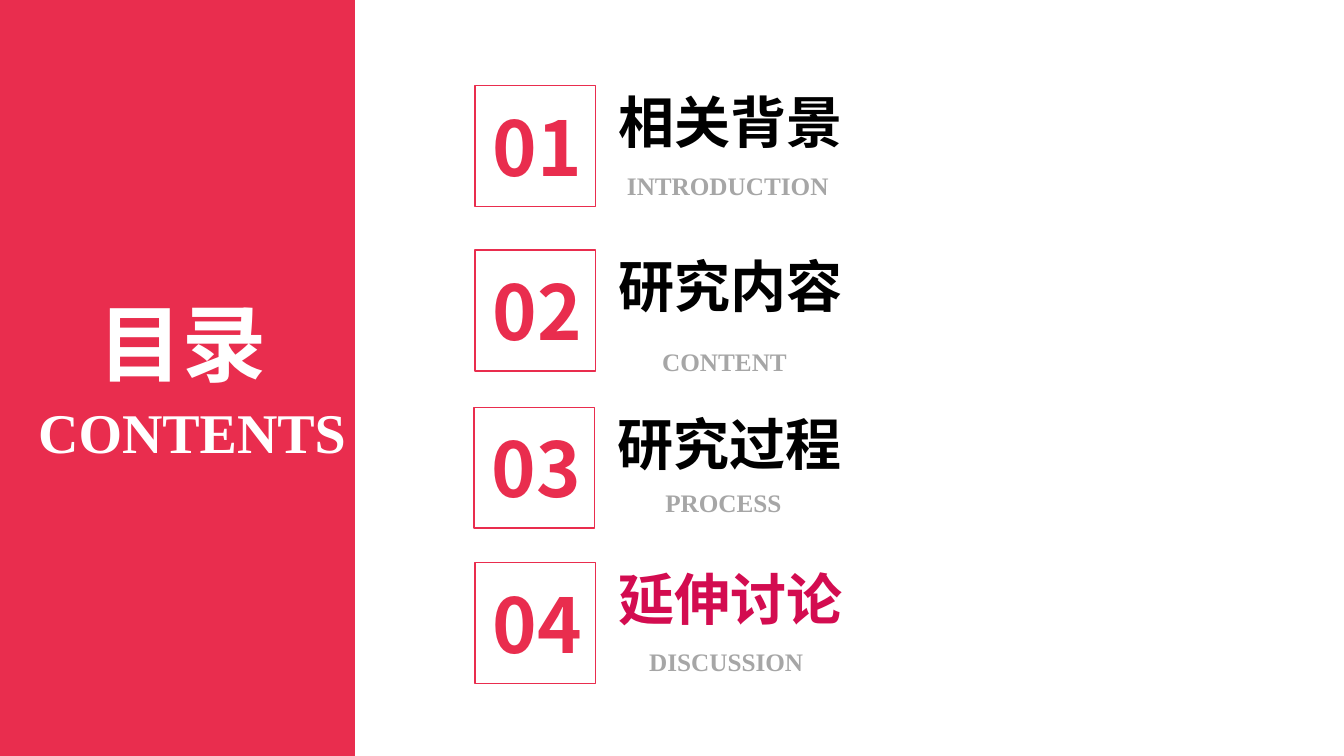
import pptx
import pptx.util
import pptx.dml.color
import pptx.enum.shapes
import pptx.enum.text
import pptx.oxml.ns
from lxml import etree

Inches = pptx.util.Inches
RGBColor = pptx.dml.color.RGBColor
ALIGN = pptx.enum.text.PP_ALIGN

RED = RGBColor(0xE9, 0x2D, 0x4E)
CRIMSON = RGBColor(0xD3, 0x0C, 0x50)
GREY = RGBColor(0xA6, 0xA6, 0xA6)
BLACK = RGBColor(0, 0, 0)
WHITE = RGBColor(255, 255, 255)
HAN = "Noto Sans CJK SC"
LATIN = "Times New Roman"


class ContentsSlide:
    """Holds the slide and draws its kinds of element."""

    def __init__(self, prs):
        self.s = prs.slides.add_slide(prs.slide_layouts[5])

    def rect(self, shapes, x, y, w, h, fill=None, line=None):
        sp = shapes.add_shape(pptx.enum.shapes.MSO_SHAPE.RECTANGLE,
                              Inches(x), Inches(y), Inches(w), Inches(h))
        sp.shadow.inherit = False
        if fill is None:
            sp.fill.background()
        else:
            sp.fill.solid()
            sp.fill.fore_color.rgb = fill
        if line is None:
            sp.line.fill.background()
        else:
            sp.line.color.rgb = line
            sp.line.width = pptx.util.Pt(1)
        return sp

    def fill_text(self, sp, text, size, font, color, align):
        tf = sp.text_frame
        tf.word_wrap = True
        tf.auto_size = pptx.enum.text.MSO_AUTO_SIZE.SHAPE_TO_FIT_TEXT
        tf.vertical_anchor = pptx.enum.text.MSO_ANCHOR.TOP
        p = tf.paragraphs[0]
        p.alignment = align
        r = p.add_run()
        r.text = text
        r.font.size = pptx.util.Pt(size)
        r.font.bold = True
        r.font.color.rgb = color
        r.font.name = font
        # East Asian glyphs take their typeface from a:ea
        ea = etree.SubElement(r.font._element, pptx.oxml.ns.qn("a:ea"))
        ea.set("typeface", font)

    def text(self, shapes, x, y, w, h, text, size, font, color, align=ALIGN.LEFT):
        sp = shapes.add_textbox(Inches(x), Inches(y), Inches(w), Inches(h))
        self.fill_text(sp, text, size, font, color, align)

    def title(self, x, y, w, h, text, size, font, color, align):
        sp = self.s.shapes.title
        sp.left, sp.top, sp.width, sp.height = map(Inches, (x, y, w, h))
        self.fill_text(sp, text, size, font, color, align)
        return sp

    def entry(self, number, x, y, heading, color, caption, cap_x, cap_y, cap_w):
        shapes = self.s.shapes.add_group_shape().shapes
        self.text(shapes, x + 1.33, y - 0.03, 2.55, 0.77, heading, 40, HAN, color)
        self.text(shapes, cap_x, cap_y, cap_w, 0.4, caption, 18, LATIN, GREY)
        self.text(shapes, x + 0.02, y + 0.1, 1.2, 1.01, f"{number:02d}",
                  54, HAN, RED, ALIGN.CENTER)
        self.rect(shapes, x, y, 1.2, 1.2, line=RED)


def main():
    prs = pptx.Presentation()
    prs.slide_width, prs.slide_height = Inches(13.33), Inches(7.5)
    page = ContentsSlide(prs)
    shapes = page.s.shapes

    # Side panel, with the title raised above it
    panel = page.rect(shapes, 0, 0, 3.52, 7.5, fill=RED)
    title = page.title(0.79, 2.84, 1.95, 1.11, "目录", 60, HAN, WHITE, ALIGN.RIGHT)
    panel.element.addnext(title.element)
    page.text(shapes, 0, 3.89, 3.53, 0.77, "CONTENTS", 40, LATIN, WHITE, ALIGN.RIGHT)

    # Contents: box position, heading, colour, caption and its place
    entries = [
        (4.71, 0.85, "相关背景", BLACK, "INTRODUCTION", 6.12, 1.64, 2.24),
        (4.71, 2.48, "研究内容", BLACK, "CONTENT", 6.47, 3.39, 1.6),
        (4.7, 4.04, "研究过程", BLACK, "PROCESS", 6.5, 4.79, 1.45),
        (4.71, 5.58, "延伸讨论", CRIMSON, "DISCUSSION", 6.34, 6.36, 1.76),
    ]
    for number, entry in enumerate(entries, start=1):
        page.entry(number, *entry)

    prs.save("out.pptx")


if __name__ == "__main__":
    main()
